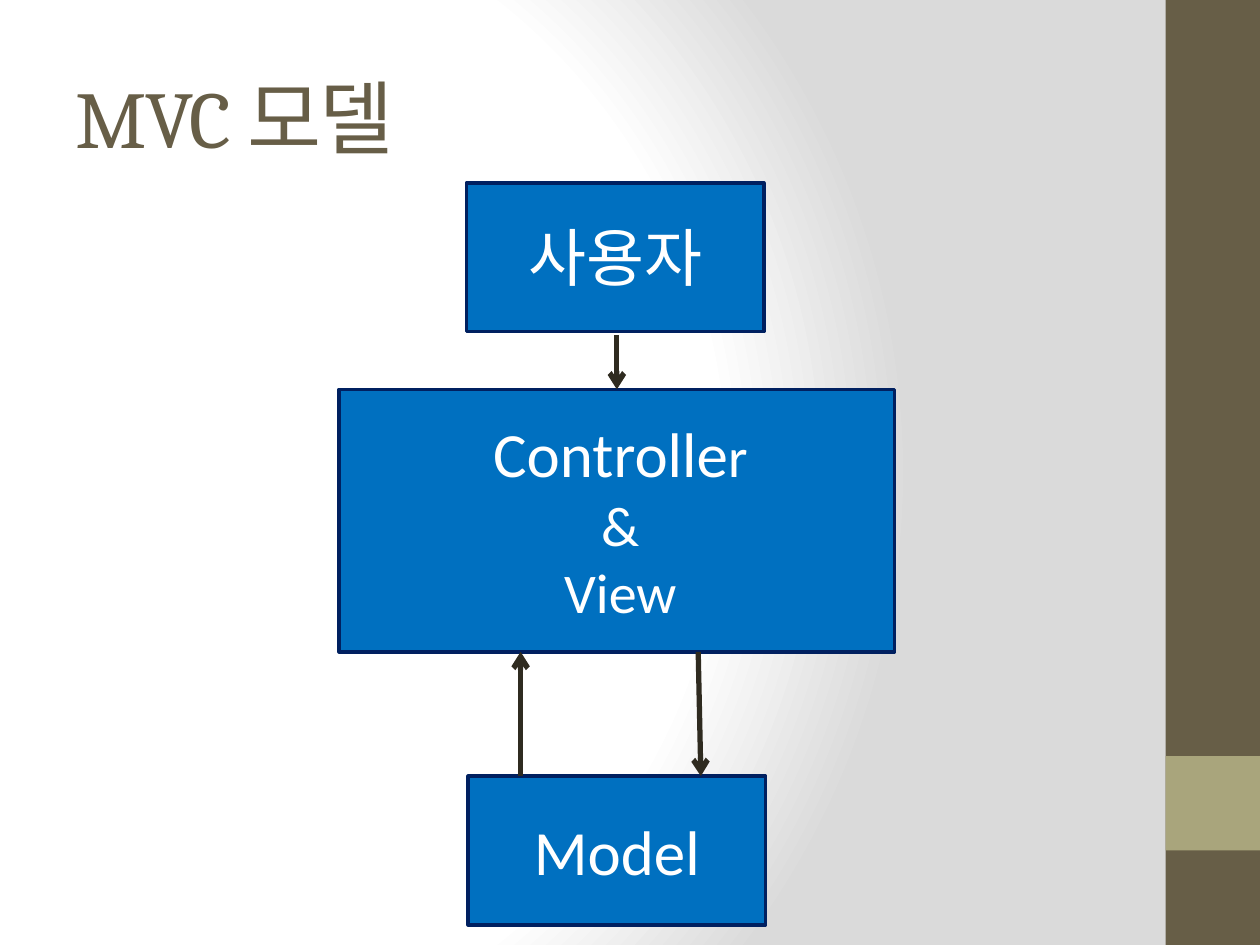
import pptx
import pptx.util
import pptx.dml.color
import pptx.enum.shapes
import pptx.enum.text
import pptx.oxml
import pptx.oxml.ns

Pt = pptx.util.Pt
Align = pptx.enum.text.PP_ALIGN
Anchor = pptx.enum.text.MSO_ANCHOR
NS = pptx.oxml.ns.nsdecls("a")
BROWN, SAGE, BLUE, NAVY, DARK = "675E47", "A9A57C", "0070C0", "002060", "2F2B20"
WHITE = "FFFFFF"


def color(code):
    return pptx.dml.color.RGBColor.from_string(code)


def add_run(para, text, size, font, code):
    run = para.add_run()
    run.text = text
    run.font.size = Pt(size)
    run.font.name = font
    run.font.color.rgb = color(code)


def add_rect(slide, box, fill, line=None):
    kind = pptx.enum.shapes.MSO_SHAPE.RECTANGLE
    rect = slide.shapes.add_shape(kind, *map(Pt, box))
    rect.shadow.inherit = False
    rect.fill.solid()
    rect.fill.fore_color.rgb = color(fill)
    if line:
        rect.line.color.rgb = color(line)
        rect.line.width = Pt(2)
    else:
        rect.line.fill.background()
    return rect


def add_back(slide):
    # Radial gradient from white to grey
    slide.background.fill.gradient()
    grad = slide.element.xpath(".//p:bgPr/a:gradFill")[0]
    stops = "".join(
        f'<a:gs pos="{pos}000"><a:srgbClr val="{code}"/></a:gs>'
        for pos, code in ((0, WHITE), (75, WHITE), (100, "DADADA")))
    fill = pptx.oxml.parse_xml(
        f'<a:gradFill {NS} rotWithShape="1"><a:gsLst>{stops}</a:gsLst>'
        '<a:path path="circle"><a:fillToRect l="20000" t="50000" '
        'r="100000" b="50000"/></a:path></a:gradFill>')
    grad.getparent().replace(grad, fill)


def add_band(slide, box):
    # Side band with a square accent
    left, top, width, height = box
    add_rect(slide, box, BROWN)
    add_rect(slide, (left, top + 0.8 * height, width, width), SAGE)


def add_title(slide, box):
    title = slide.shapes.title
    title.left, title.top, title.width, title.height = map(Pt, box)
    frame = title.text_frame
    frame.vertical_anchor = Anchor.MIDDLE
    para = frame.paragraphs[0]
    para.alignment = Align.LEFT
    add_run(para, "MVC 모델", 46, "Cambria", BROWN)
    title.element.xpath(".//a:rPr")[0].set("spc", "-100")


def add_node(slide, box, size, lines, nudge=0):
    # Rectangle with a text box centred over it
    left, top, width, height = box
    wide, high = size
    rect = add_rect(slide, box, BLUE, NAVY)
    label = slide.shapes.add_textbox(
        Pt(left + (width - wide) / 2 + nudge), Pt(top + (height - high) / 2),
        Pt(wide), Pt(high))
    frame = label.text_frame
    frame.word_wrap = True
    frame.auto_size = pptx.enum.text.MSO_AUTO_SIZE.SHAPE_TO_FIT_TEXT
    for num, runs in enumerate(lines):
        para = frame.add_paragraph() if num else frame.paragraphs[0]
        para.alignment = Align.CENTER
        for text, points in runs:
            add_run(para, text, points, "Calibri", WHITE)
    return rect


def add_arrow(slide, start, end):
    kind = pptx.enum.shapes.MSO_CONNECTOR.STRAIGHT
    arrow = slide.shapes.add_connector(kind, *map(Pt, start + end))
    arrow.line.color.rgb = color(DARK)
    arrow.line.width = Pt(3)
    line = arrow.element.spPr.find(pptx.oxml.ns.qn("a:ln"))
    line.append(pptx.oxml.parse_xml(f'<a:tailEnd {NS} type="arrow"/>'))
    arrow.element.spPr.append(pptx.oxml.parse_xml(f"<a:effectLst {NS}/>"))
    return arrow


def add_flow(slide, box):
    left, top, width, height = box
    wide, high = 170, 85
    small = (131, 51)
    mid = left + width / 2
    core_top, core_end = top + 118, top + 268
    base = top + height - high

    # Nodes
    add_node(slide, (mid - wide / 2 - 1, top, wide, high), small,
             [[("사용자", 36)]])
    core = add_node(slide, (left, core_top, width, core_end - core_top),
                    (170, 128),
                    [[("Controlle", 36), ("r &", 32)], [("View", 32)]], 2)
    add_node(slide, (mid - wide / 2, base, wide, high), small,
             [[("Model", 36)]])

    # Arrows
    down = add_arrow(slide, (mid, top + high + 2), (mid, core_top))
    down.end_connect(core, 0)
    add_arrow(slide, (mid - 55, base), (mid - 55, core_end))
    add_arrow(slide, (mid + 46.5, core_end), (mid + 48, base))


def main():
    deck = pptx.Presentation()
    deck.slide_width, deck.slide_height = Pt(720), Pt(540)
    slide = deck.slides.add_slide(deck.slide_layouts[5])
    add_back(slide)
    add_band(slide, (666, 0, 54, 540))
    add_title(slide, (36, 21.6, 600, 90))
    add_flow(slide, (193.75, 104.5, 317.5, 424))
    deck.save("out.pptx")


if __name__ == "__main__":
    main()
